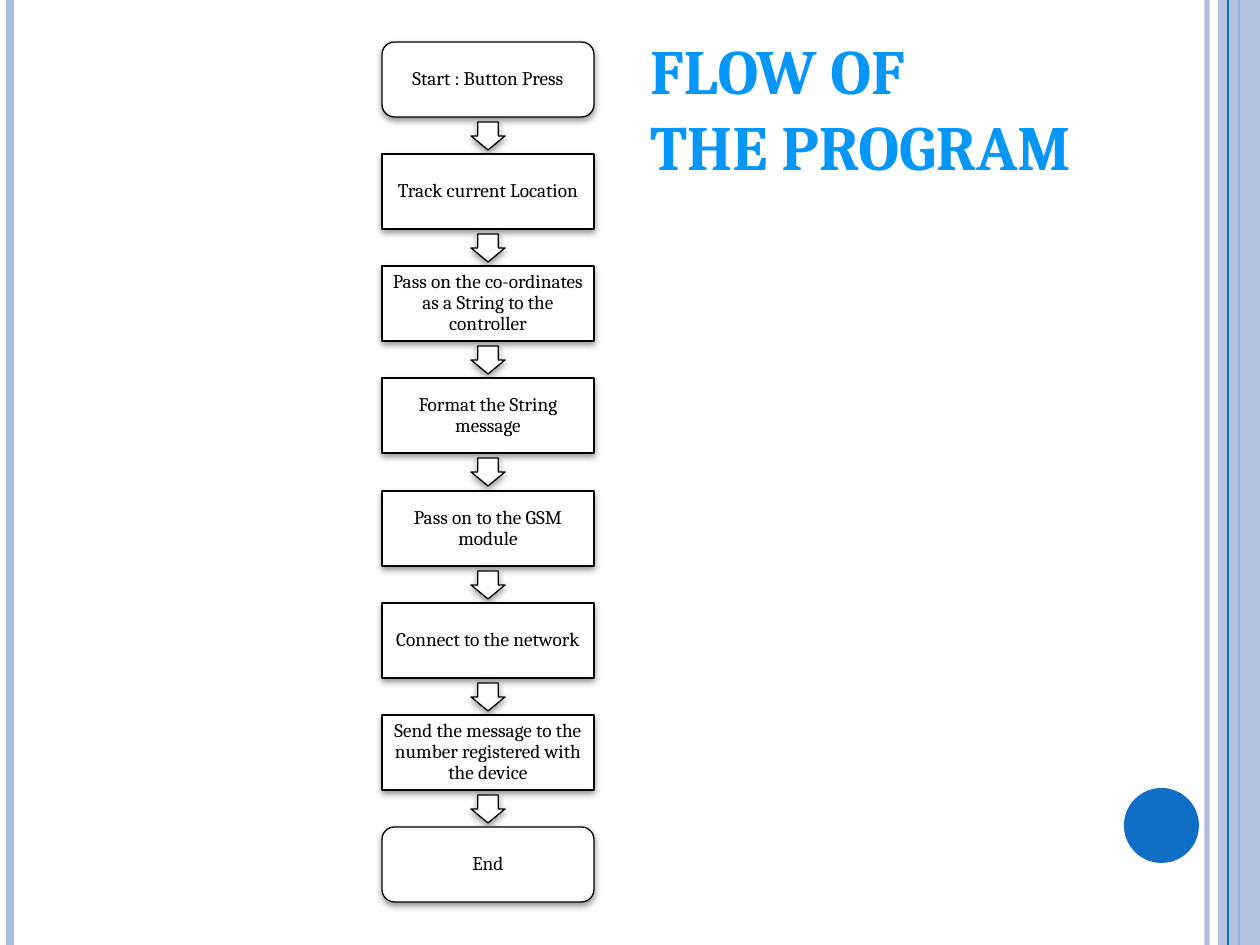
from typing import NamedTuple, Optional

from lxml import etree
from pptx import Presentation
from pptx.dml.color import RGBColor
from pptx.enum.shapes import MSO_CONNECTOR, MSO_SHAPE as Geo
from pptx.enum.text import MSO_ANCHOR as Anchor, PP_ALIGN as Align
from pptx.oxml.ns import qn
from pptx.util import Emu, Pt

PX = 914400 / 126
WIDTH, HEIGHT = 1260, 945
FONT = "Cambria"
BLUE, PALE, WHITE, BLACK = "0F6FC6", "ABBBDF", "FFFFFF", "000000"
TITLE_BLUE = "0497F9"

# Flow chart column
BOX_LEFT, BOX_TOP, BOX_WIDTH, BOX_HEIGHT = 382, 42, 212, 75
LAST_TOP = 827
ARROW_LENGTH, ARROW_WIDTH = 28, 34
INSET = 6


class Rule(NamedTuple):
    x: int
    color: str
    weight: float
    opacity: int = 100


class Step(NamedTuple):
    text: str
    geometry: Geo


BACK_RULES = [Rule(1207, PALE, 3, 93), Rule(10, PALE, 4.5), Rule(1239, BLUE, 1.5)]
FRONT_RULE = Rule(1228, BLUE, 0.75)

STEPS = [
    Step("Start : Button Press", Geo.FLOWCHART_ALTERNATE_PROCESS),
    Step("Track current Location", Geo.FLOWCHART_PROCESS),
    Step("Pass on the co-ordinates as a String to the controller", Geo.FLOWCHART_PROCESS),
    Step("Format the String message", Geo.FLOWCHART_PROCESS),
    Step("Pass on to the GSM module", Geo.RECTANGLE),
    Step("Connect to the network", Geo.RECTANGLE),
    Step("Send the message to the number registered with the device", Geo.RECTANGLE),
    Step("End", Geo.FLOWCHART_ALTERNATE_PROCESS),
]


def px(length: int) -> Emu:
    return Emu(round(length * PX))


def rgb(color: str) -> RGBColor:
    return RGBColor.from_string(color)


def set_opacity(shape, percent: int) -> None:
    """Apply opacity to the first colour of a shape or connector."""
    color = shape.element.spPr.find(".//" + qn("a:srgbClr"))
    etree.SubElement(color, qn("a:alpha"), val=str(percent * 1000))


def add_shadow(shape) -> None:
    effects = shape.element.spPr.find(qn("a:effectLst"))
    shadow = etree.SubElement(effects, qn("a:outerShdw"), blurRad=str(Pt(4)),
                              dist=str(Pt(1.6)), dir="5400000", rotWithShape="0")
    color = etree.SubElement(shadow, qn("a:srgbClr"), val=BLACK)
    etree.SubElement(color, qn("a:alpha"), val="42000")


def add_rule(slide, rule: Rule) -> None:
    line = slide.shapes.add_connector(
        MSO_CONNECTOR.STRAIGHT, px(rule.x), 0, px(rule.x), px(HEIGHT))
    line.line.color.rgb = rgb(rule.color)
    line.line.width = Pt(rule.weight)
    etree.SubElement(line.element.spPr, qn("a:effectLst"))
    if rule.opacity < 100:
        set_opacity(line, rule.opacity)


def add_shape(slide, geometry: Geo, left: int, top: int, width: int, height: int,
              fill: str, outline: Optional[str] = None):
    shape = slide.shapes.add_shape(geometry, px(left), px(top), px(width), px(height))
    shape.shadow.inherit = False
    shape.fill.solid()
    shape.fill.fore_color.rgb = rgb(fill)
    if outline:
        shape.line.color.rgb = rgb(outline)
        shape.line.width = Pt(0.75)
        add_shadow(shape)
    else:
        shape.line.fill.background()
    return shape


def write(shape, text: str, *, size: int, color: str, bold: bool = False,
          align: Align = Align.CENTER, anchor: Anchor = Anchor.MIDDLE,
          spacing: float = 1.0, left: int = INSET, inset: int = INSET) -> None:
    frame = shape.text_frame
    frame.word_wrap = True
    frame.vertical_anchor = anchor
    frame.margin_left = px(left)
    frame.margin_top = frame.margin_right = frame.margin_bottom = px(inset)
    para = frame.paragraphs[0]
    para.alignment = align
    para.line_spacing = spacing
    for number, line in enumerate(text.split("\n")):
        if number:
            para.add_line_break()
        span = para.add_run()
        span.text = line
        span.font.name = FONT
        span.font.size = Pt(size)
        span.font.bold = bold
        span.font.color.rgb = rgb(color)


def add_step(slide, step: Step, top: int) -> None:
    box = add_shape(slide, step.geometry, BOX_LEFT, top, BOX_WIDTH, BOX_HEIGHT,
                    WHITE, BLACK)
    write(box, step.text, size=11, color=BLACK, spacing=0.9)


def add_arrow(slide, center_x: int, center_y: int) -> None:
    arrow = add_shape(slide, Geo.RIGHT_ARROW, center_x - ARROW_LENGTH // 2,
                      center_y - ARROW_WIDTH // 2, ARROW_LENGTH, ARROW_WIDTH,
                      WHITE, BLACK)
    arrow.rotation = 90
    arrow.adjustments[0] = 0.6
    arrow.adjustments[1] = 0.5


def main() -> None:
    deck = Presentation()
    deck.slide_width, deck.slide_height = px(WIDTH), px(HEIGHT)
    slide = deck.slides.add_slide(deck.slide_layouts[5])

    # Side bands and circle
    for rule in BACK_RULES:
        add_rule(slide, rule)
    band = add_shape(slide, Geo.RECTANGLE, 1218, 0, 42, HEIGHT, PALE)
    set_opacity(band, 87)
    add_rule(slide, FRONT_RULE)
    add_shape(slide, Geo.OVAL, 1124, 788, 75, 75, BLUE)

    # Flow chart: evenly spaced boxes with an arrow in each gap
    pitch = (LAST_TOP - BOX_TOP) / (len(STEPS) - 1)
    for index, step in enumerate(STEPS):
        top = round(BOX_TOP + index * pitch)
        add_step(slide, step, top)
        if index < len(STEPS) - 1:
            add_arrow(slide, BOX_LEFT + BOX_WIDTH // 2,
                      top + round((BOX_HEIGHT + pitch) / 2))

    # Title
    title = slide.shapes.title
    title.left, title.top, title.width, title.height = map(px, (609, 32, 1029, 157))
    write(title, "FLOW OF\nTHE PROGRAM", size=36, color=TITLE_BLUE, bold=True,
          align=Align.LEFT, anchor=Anchor.BOTTOM, left=41)

    deck.save("out.pptx")


if __name__ == "__main__":
    main()
